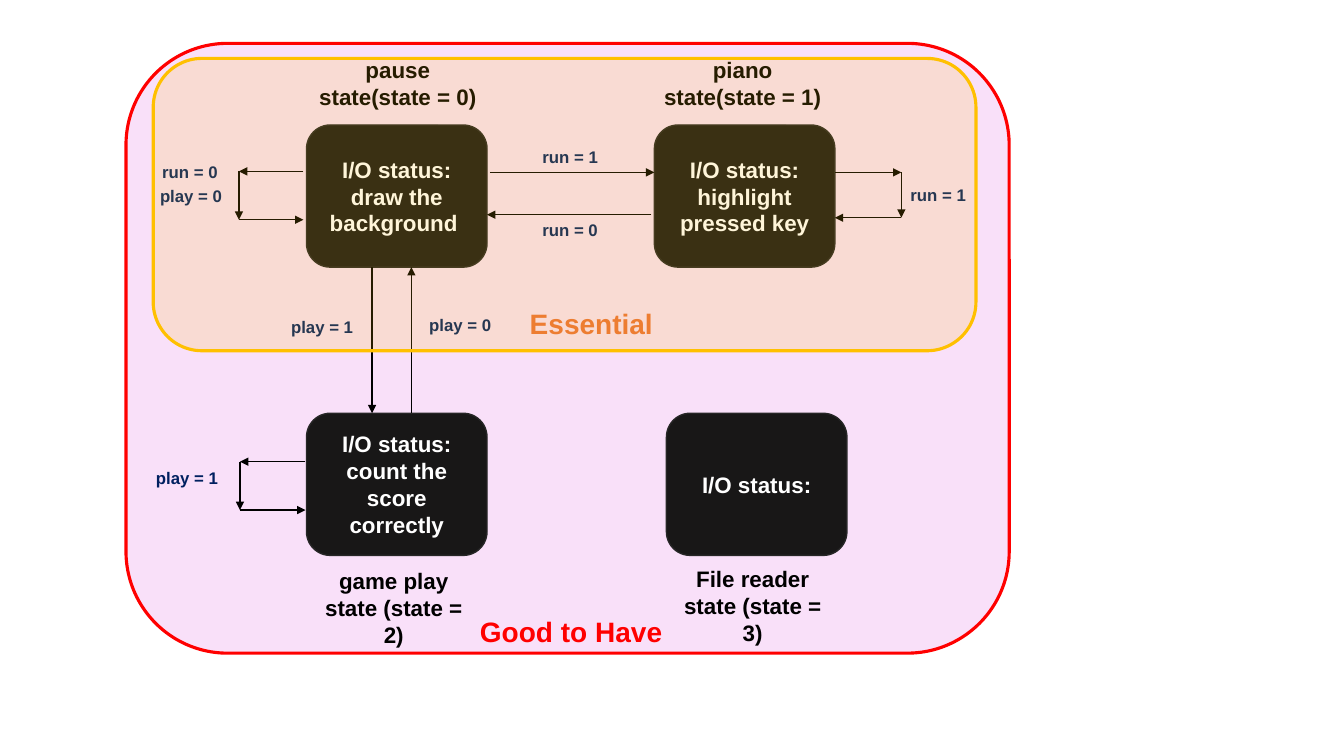
from typing import NamedTuple

from lxml import etree
from pptx import Presentation
from pptx.dml.color import RGBColor
from pptx.enum.shapes import MSO_CONNECTOR, MSO_SHAPE
from pptx.enum.text import MSO_ANCHOR, PP_ALIGN
from pptx.oxml.ns import qn
from pptx.util import Inches, Pt

BLACK = RGBColor(0x00, 0x00, 0x00)
WHITE = RGBColor(0xFF, 0xFF, 0xFF)
RED = RGBColor(0xFF, 0x00, 0x00)
VIOLET = RGBColor(0xDB, 0x32, 0xDD)
AMBER = RGBColor(0xFF, 0xC0, 0x00)
ORANGE = RGBColor(0xED, 0x7D, 0x31)
NAVY = RGBColor(0x00, 0x20, 0x60)
STATE_FILL = RGBColor(0x18, 0x17, 0x17)
STATE_LINE = RGBColor(0x26, 0x26, 0x26)

ROUNDED = MSO_SHAPE.ROUNDED_RECTANGLE
STRAIGHT = MSO_CONNECTOR.STRAIGHT
CENTER = PP_ALIGN.CENTER
TOP = MSO_ANCHOR.TOP
MIDDLE = MSO_ANCHOR.MIDDLE

FONT = "Arial"
STATE_WIDTH, STATE_HEIGHT = 1.79, 1.41
UPPER_ROW, LOWER_ROW = 1.24, 4.1


class Box(NamedTuple):
    left: float
    top: float
    width: float
    height: float


class State(NamedTuple):
    left: float
    top: float
    status: str
    caption: str
    caption_left: float
    caption_top: float


class Label(NamedTuple):
    text: str
    left: float
    top: float
    width: float = 0.99


class Arrow(NamedTuple):
    start_x: float
    start_y: float
    end_x: float
    end_y: float


class Loop(NamedTuple):
    near_x: float
    far_x: float
    top: float
    bottom: float


STATES = [
    State(3.04, UPPER_ROW, "I/O status: draw the background ",
          "pause state(state = 0)", 3.05, 0.51),
    State(6.49, UPPER_ROW, "I/O status: highlight pressed key",
          "piano state(state = 1)", 6.47, 0.51),
    State(3.04, LOWER_ROW, "I/O status: count the score correctly",
          "game play state (state = 2)", 3.01, 5.58),
    State(6.61, LOWER_ROW, "I/O status:",
          "File reader state (state = 3)", 6.57, 5.56),
]
TRANSITIONS = [
    Arrow(4.86, 1.71, 6.49, 1.71),
    Arrow(6.46, 2.13, 4.83, 2.13),
    Arrow(3.69, 2.65, 3.69, 4.1),
    Arrow(4.08, 4.1, 4.08, 2.65),
]
LOOPS = [
    Loop(3.01, 2.37, 1.7, 2.18),
    Loop(8.28, 8.94, 1.71, 2.16),
    Loop(3.03, 2.38, 4.58, 5.06),
]
LABELS = [
    Label("run = 1", 5.16, 1.41),
    Label("run = 0", 5.02, 2.13, 1.27),
    Label("run = 1", 8.81, 1.78),
    Label("play = 1", 2.7, 3.09),
    Label("play = 0", 4.07, 3.07),
    Label("play = 1", 1.36, 4.59),
    Label("run = 0", 1.25, 1.56, 1.27),
    Label("play = 0", 1.4, 1.79),
]

presentation = Presentation()
presentation.slide_width = Inches(13.33)
presentation.slide_height = Inches(7.5)
slide = presentation.slides.add_slide(presentation.slide_layouts[6])


def write(shape, text: str, *, size: float, color: RGBColor, anchor=TOP) -> None:
    frame = shape.text_frame
    frame.word_wrap = True
    frame.vertical_anchor = anchor
    paragraph = frame.paragraphs[0]
    paragraph.alignment = CENTER
    run = paragraph.add_run()
    run.text = text
    run.font.name = FONT
    run.font.size = Pt(size)
    run.font.bold = True
    run.font.color.rgb = color


def add_text(box: Box, text: str, *, size: float, color: RGBColor) -> None:
    write(slide.shapes.add_textbox(*map(Inches, box)), text, size=size, color=color)


def add_rounded(box: Box, *, fill: RGBColor, line: RGBColor, weight: float):
    shape = slide.shapes.add_shape(ROUNDED, *map(Inches, box))
    shape.shadow.inherit = False
    shape.fill.solid()
    shape.fill.fore_color.rgb = fill
    shape.line.color.rgb = line
    shape.line.width = Pt(weight)
    return shape


def add_zone(box: Box, *, fill: RGBColor, line: RGBColor) -> None:
    shape = add_rounded(box, fill=fill, line=line, weight=2.25)
    color = shape.fill._xPr.find(qn("a:solidFill"))[0]
    etree.SubElement(color, qn("a:alpha"), val="15000")


def add_state(state: State) -> None:
    box = Box(state.left, state.top, STATE_WIDTH, STATE_HEIGHT)
    shape = add_rounded(box, fill=STATE_FILL, line=STATE_LINE, weight=1)
    write(shape, state.status, size=16, color=WHITE, anchor=MIDDLE)
    caption_box = Box(state.caption_left, state.caption_top, STATE_WIDTH, 0.64)
    add_text(caption_box, state.caption, size=16, color=BLACK)


def add_arrow(arrow: Arrow) -> None:
    connector = slide.shapes.add_connector(STRAIGHT, *map(Inches, arrow))
    connector.line.color.rgb = BLACK
    connector.line.width = Pt(1)
    etree.SubElement(connector.line._get_or_add_ln(), qn("a:tailEnd"), type="triangle")
    etree.SubElement(connector._element.spPr, qn("a:effectLst"))


def add_loop(loop: Loop) -> None:
    near_x, far_x, top, bottom = loop
    add_arrow(Arrow(near_x, top, far_x, top))
    add_arrow(Arrow(far_x, top, far_x, bottom))
    add_arrow(Arrow(far_x, bottom, near_x, bottom))


# Outer zone with the states
add_zone(Box(1.25, 0.43, 8.76, 6.05), fill=VIOLET, line=RED)
for state in STATES:
    add_state(state)

# Transitions and their conditions
for transition in TRANSITIONS:
    add_arrow(transition)
for loop in LOOPS:
    add_loop(loop)
for label in LABELS:
    label_box = Box(label.left, label.top, label.width, 0.3)
    add_text(label_box, label.text, size=12, color=NAVY)

# Translucent inner zone over the upper states, and the zone names
add_zone(Box(1.52, 0.58, 8.16, 2.9), fill=AMBER, line=AMBER)
add_text(Box(4.61, 6.05, 2.11, 0.44), "Good to Have", size=20, color=RED)
add_text(Box(4.81, 2.99, 2.11, 0.44), "Essential", size=20, color=ORANGE)

presentation.save("out.pptx")
